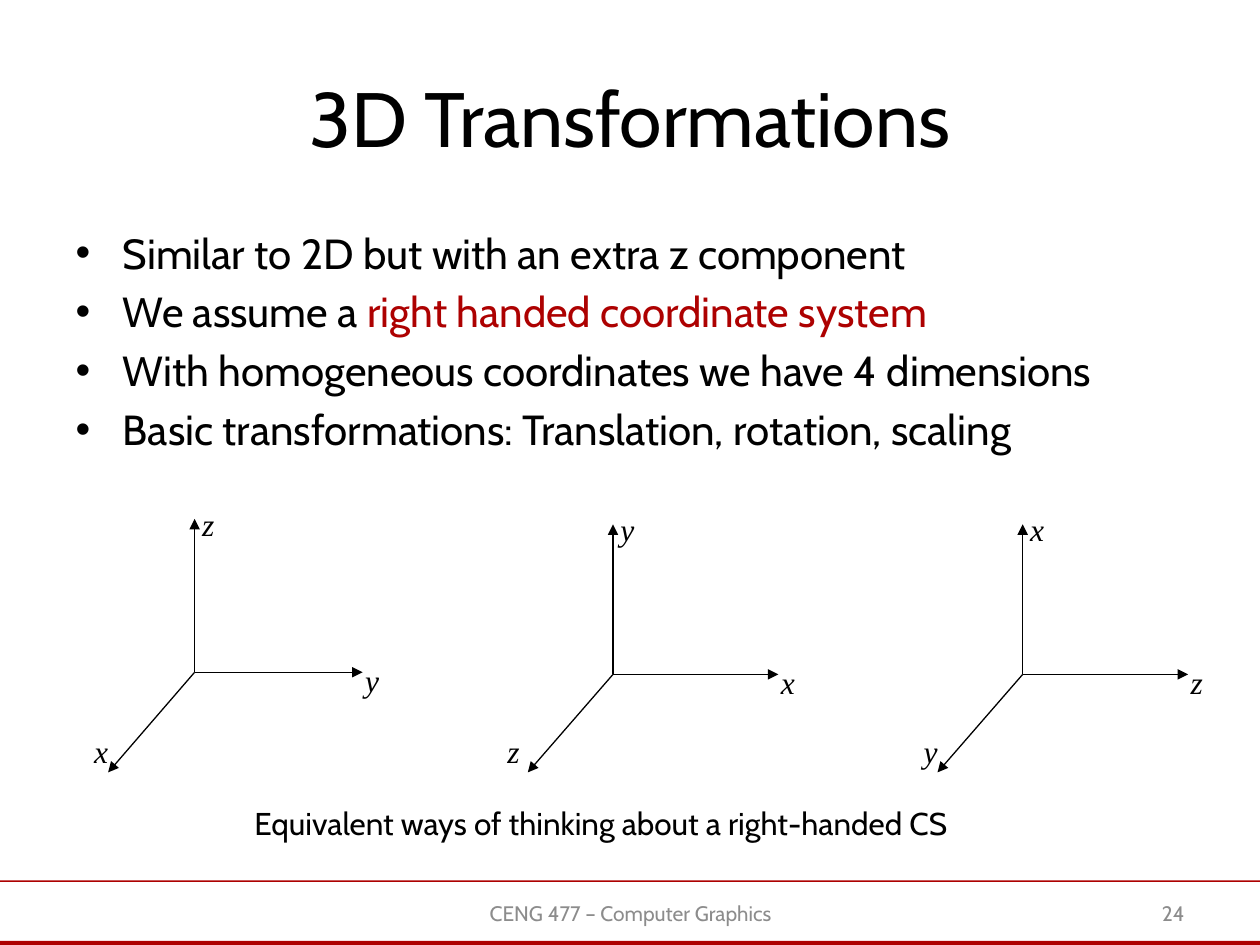
from dataclasses import dataclass

from lxml.etree import SubElement
from pptx import Presentation
from pptx.dml.color import RGBColor
from pptx.enum.shapes import MSO_CONNECTOR, MSO_SHAPE
from pptx.enum.text import MSO_ANCHOR, MSO_AUTO_SIZE, PP_ALIGN
from pptx.oxml.ns import qn
from pptx.util import Cm, Pt


@dataclass(frozen=True)
class Theme:
    text: RGBColor = RGBColor(0x00, 0x00, 0x00)
    accent: RGBColor = RGBColor(0xAD, 0x01, 0x01)
    muted: RGBColor = RGBColor(0x8C, 0x8C, 0x8C)
    font: str = "Cabin"
    math_font: str = "Times New Roman"
    title_size: Pt = Pt(44)
    body_size: Pt = Pt(24)
    label_size: Pt = Pt(18)
    footer_size: Pt = Pt(12)
    axis_width: Pt = Pt(0.75)


THEME = Theme()
SLIDE_WIDTH, SLIDE_HEIGHT = 25.4, 19.05

BULLETS = [
    [("Similar to 2D but with an extra z component", THEME.text)],
    [("We assume a ", THEME.text), ("right handed coordinate system", THEME.accent)],
    [("With homogeneous coordinates we have 4 dimensions", THEME.text)],
    [("Basic transformations: Translation, rotation, scaling", THEME.text)],
]

# Box in cm, labels of the up, right and front axes, gap left of the front tip
AXIS_SYSTEMS = [
    ((2.18, 10.46, 5.13, 5.11), "zyx", 0.28),
    ((10.64, 10.57, 5.05, 5.0), "yxz", 0.41),
    ((18.9, 10.57, 5.05, 5.0), "xzy", 0.28),
]


def place(shape, box):
    shape.left, shape.top, shape.width, shape.height = map(Cm, box)


def style_font(font, size, color, name=THEME.font):
    font.name, font.size, font.color.rgb = name, size, color


def add_text(shapes, box, text, size, color, name=THEME.font):
    """Add a one-line text box and return it with its paragraph."""
    shape = shapes.add_textbox(*map(Cm, box))
    shape.text_frame.word_wrap = True
    paragraph = shape.text_frame.paragraphs[0]
    paragraph.text = text
    style_font(paragraph.font, size, color, name)
    return shape, paragraph


def add_title(slide, box, text):
    title = slide.shapes.title
    place(title, box)
    title.text_frame.vertical_anchor = MSO_ANCHOR.MIDDLE
    paragraph = title.text_frame.paragraphs[0]
    paragraph.text = text
    paragraph.alignment = PP_ALIGN.CENTER
    style_font(paragraph.font, THEME.title_size, THEME.text)


def add_bullets(slide, box, items):
    body = slide.placeholders[1]
    place(body, box)
    frame = body.text_frame
    frame.auto_size = MSO_AUTO_SIZE.NONE
    for index, parts in enumerate(items):
        paragraph = frame.add_paragraph() if index else frame.paragraphs[0]
        style_font(paragraph.font, THEME.body_size, THEME.text)
        for text, color in parts:
            run = paragraph.add_run()
            run.text = text
            style_font(run.font, THEME.body_size, color)


def add_arrow(shapes, start, end):
    arrow = shapes.add_connector(MSO_CONNECTOR.STRAIGHT, *map(Cm, start + end))
    arrow.line.color.rgb = THEME.text
    arrow.line.width = THEME.axis_width
    SubElement(arrow.line._get_or_add_ln(), qn("a:tailEnd"), type="triangle")
    SubElement(arrow._element.spPr, qn("a:effectLst"))


def add_axis_label(shapes, left, top, text):
    shape, paragraph = add_text(shapes, (left, top, 0.35, 0.79), text,
                                THEME.label_size, THEME.text, THEME.math_font)
    frame = shape.text_frame
    frame.margin_left = frame.margin_top = frame.margin_right = frame.margin_bottom = 0
    paragraph.font.italic = True
    paragraph.line_spacing = 1.02


def add_axis_system(slide, box, labels, front_gap):
    """Draw three labelled axes whose arrow tips touch the sides of the box."""
    left, top, width, height = box
    origin = (left + 0.34 * width, top + 0.605 * height)
    axes = [
        ((origin[0], top), (0.15, -0.3)),
        ((left + width, origin[1]), (0.05, -0.25)),
        ((left, top + height), (-front_gap, -0.82)),
    ]
    shapes = slide.shapes.add_group_shape().shapes
    for (tip, offset), label in zip(axes, labels):
        add_arrow(shapes, origin, tip)
        add_axis_label(shapes, tip[0] + offset[0], tip[1] + offset[1], label)


def add_rule(slide, top, height):
    rule = slide.shapes.add_shape(
        MSO_SHAPE.RECTANGLE, 0, Cm(top), Cm(SLIDE_WIDTH), Cm(height))
    rule.shadow.inherit = False
    rule.fill.solid()
    rule.fill.fore_color.rgb = THEME.accent
    rule.line.fill.background()


def add_footer(slide, box, text, number):
    left, top, width, height = box
    add_rule(slide, top, 0.03)
    add_rule(slide, top + height - 0.08, 0.08)
    parts = [
        (text, 8.69, 8.05, PP_ALIGN.CENTER),
        (number, 18.21, 5.92, PP_ALIGN.RIGHT),
    ]
    for content, offset, part_width, alignment in parts:
        shape, paragraph = add_text(
            slide.shapes, (left + offset, top + 0.14, part_width, 1.02),
            content, THEME.footer_size, THEME.muted)
        shape.text_frame.vertical_anchor = MSO_ANCHOR.MIDDLE
        paragraph.alignment = alignment


def main():
    presentation = Presentation()
    presentation.slide_width = Cm(SLIDE_WIDTH)
    presentation.slide_height = Cm(SLIDE_HEIGHT)
    slide = presentation.slides.add_slide(presentation.slide_layouts[1])

    add_title(slide, (1.27, 0.76, 22.86, 3.18), "3D Transformations")
    add_bullets(slide, (1.27, 4.45, 22.86, 12.57), BULLETS)
    for box, labels, front_gap in AXIS_SYSTEMS:
        add_axis_system(slide, box, labels, front_gap)
    add_text(slide.shapes, (4.88, 16.08, 15.39, 1.02),
             "Equivalent ways of thinking about a right-handed CS",
             THEME.label_size, THEME.text)
    add_footer(slide, (0, 17.75, SLIDE_WIDTH, 1.3), "CENG 477 – Computer Graphics", "24")

    presentation.save("out.pptx")


if __name__ == "__main__":
    main()
